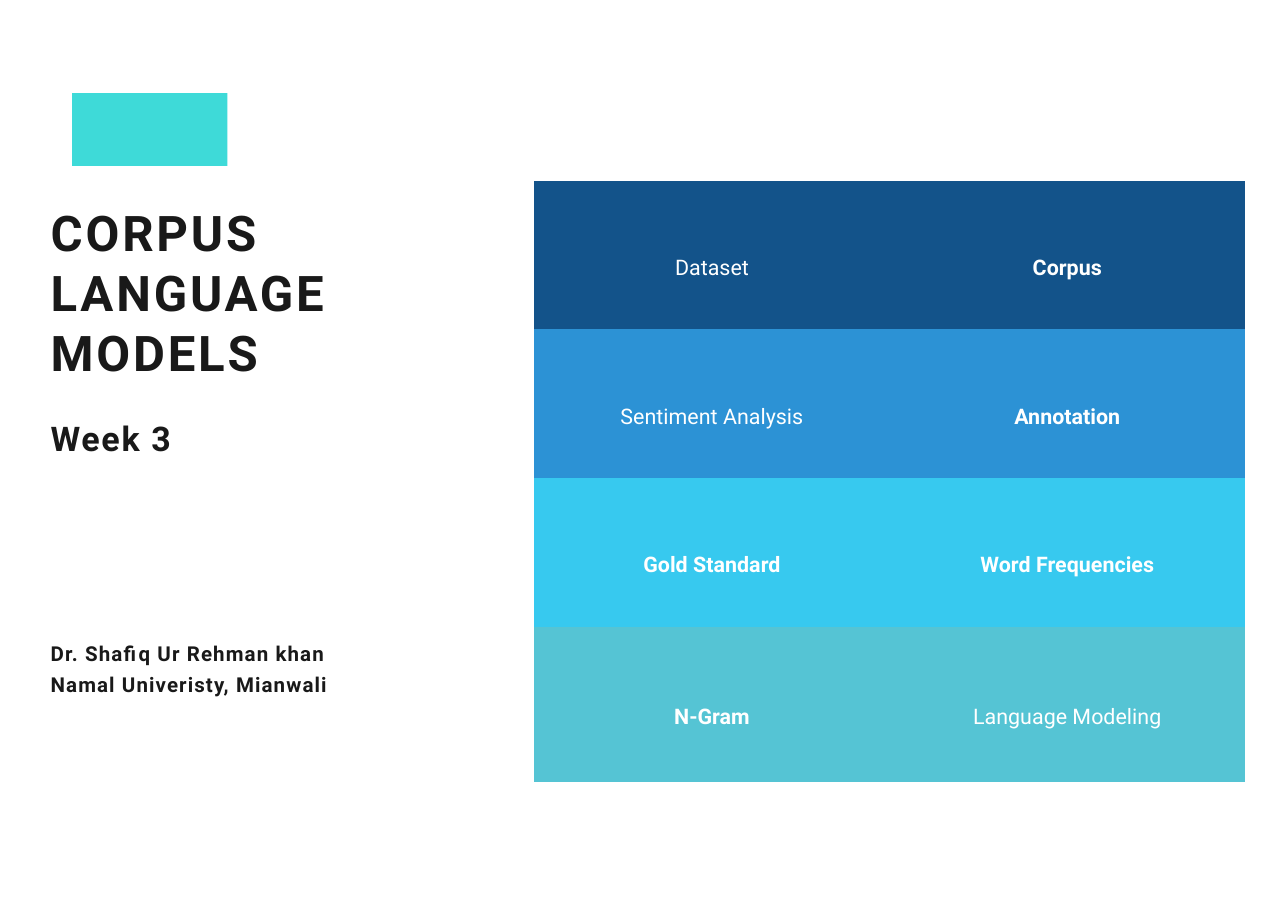
"""Build the title slide of the week on corpus language models."""
import dataclasses

import lxml.etree
import pptx
import pptx.dml.color
import pptx.enum.shapes
import pptx.enum.text
import pptx.oxml.ns
import pptx.util

Inches = pptx.util.Inches
Pt = pptx.util.Pt
FACE = "Roboto"
INK = "191919"
WHITE = "FFFFFF"


@dataclasses.dataclass
class Label:
    text: str
    top: float
    width: float
    height: float
    size: float
    line: float
    space: float


@dataclasses.dataclass
class Cell:
    text: str
    bold: bool


@dataclasses.dataclass
class Band:
    fill: str
    height: float
    cells: tuple[Cell, Cell]


LABELS = [
    Label("CORPUS\vLANGUAGE MODELS", 1.82, 4.3, 1.68, 32.1, 39.5, 1.9),
    Label("Week 3", 3.7, 2.93, 0.46, 22.2, 33.3, 1.1),
    Label("Dr. Shafiq Ur Rehman khan\nNamal Univeristy, Mianwali",
          5.76, 2.93, 0.56, 13.4, 20.2, 0.7),
]
BANDS = [
    Band("13538A", 1.35, (Cell("Dataset", False), Cell("Corpus", True))),
    Band("2C92D5", 1.35, (Cell("Sentiment Analysis", False), Cell("Annotation", True))),
    Band("37C9EF", 1.35, (Cell("Gold Standard", True), Cell("Word Frequencies", True))),
    Band("55C4D4", 1.41, (Cell("N-Gram", True), Cell("Language Modeling", False))),
]


def color(code: str) -> pptx.dml.color.RGBColor:
    return pptx.dml.color.RGBColor.from_string(code)


def paint(fill, code: str) -> None:
    fill.solid()
    fill.fore_color.rgb = color(code)


def style(para, size: float, code: str, bold: bool, line: float) -> None:
    para.line_spacing = Pt(line)
    para.font.name = FACE
    para.font.size = Pt(size)
    para.font.bold = bold
    para.font.color.rgb = color(code)


def inset(part, gap: float) -> None:
    part.margin_left = part.margin_right = Inches(gap)
    part.margin_top = part.margin_bottom = Inches(gap)


def add_label(slide, label: Label) -> None:
    box = slide.shapes.add_textbox(Inches(0.46), Inches(label.top),
                                   Inches(label.width), Inches(label.height))
    frame = box.text_frame
    frame.word_wrap = True
    inset(frame, 0)
    frame.text = label.text
    for para in frame.paragraphs:
        style(para, label.size, INK, True, label.line)
        for run in para.runs:
            run.font._element.set("spc", str(round(label.space * 100)))


def hide_lines(cell) -> None:
    props = cell._tc.get_or_add_tcPr()
    for side in ("lnL", "lnR", "lnT", "lnB"):
        edge = lxml.etree.SubElement(props, pptx.oxml.ns.qn(f"a:{side}"), w="0")
        lxml.etree.SubElement(edge, pptx.oxml.ns.qn("a:noFill"))


def add_grid(slide, bands: list[Band]) -> None:
    total = sum(band.height for band in bands)
    grid = slide.shapes.add_table(len(bands), 2, Inches(4.85), Inches(1.64),
                                  Inches(6.45), Inches(total)).table
    grid.first_row = grid.horz_banding = False
    for row, band in zip(grid.rows, bands):
        row.height = Inches(band.height)
        for cell, entry in zip(row.cells, band.cells):
            cell.text = entry.text
            cell.vertical_anchor = pptx.enum.text.MSO_ANCHOR.MIDDLE
            inset(cell, 0.06)
            hide_lines(cell)
            paint(cell.fill, band.fill)
            para = cell.text_frame.paragraphs[0]
            para.alignment = pptx.enum.text.PP_ALIGN.CENTER
            style(para, 14, WHITE, entry.bold, 33.6)


def add_block(slide) -> None:
    block = slide.shapes.add_shape(pptx.enum.shapes.MSO_SHAPE.RECTANGLE, Inches(1.03),
                                   Inches(0.47), Inches(0.66), Inches(1.41))
    block.rotation = 270
    block.shadow.inherit = False
    block.line.fill.background()
    paint(block.fill, "3EDAD8")


def main() -> None:
    deck = pptx.Presentation()
    deck.slide_width = Inches(11.69)
    deck.slide_height = Inches(8.27)
    slide = deck.slides.add_slide(deck.slide_layouts[6])
    paint(slide.background.fill, WHITE)
    add_grid(slide, BANDS)
    add_block(slide)
    for label in LABELS:
        add_label(slide, label)
    deck.save("out.pptx")


if __name__ == "__main__":
    main()
